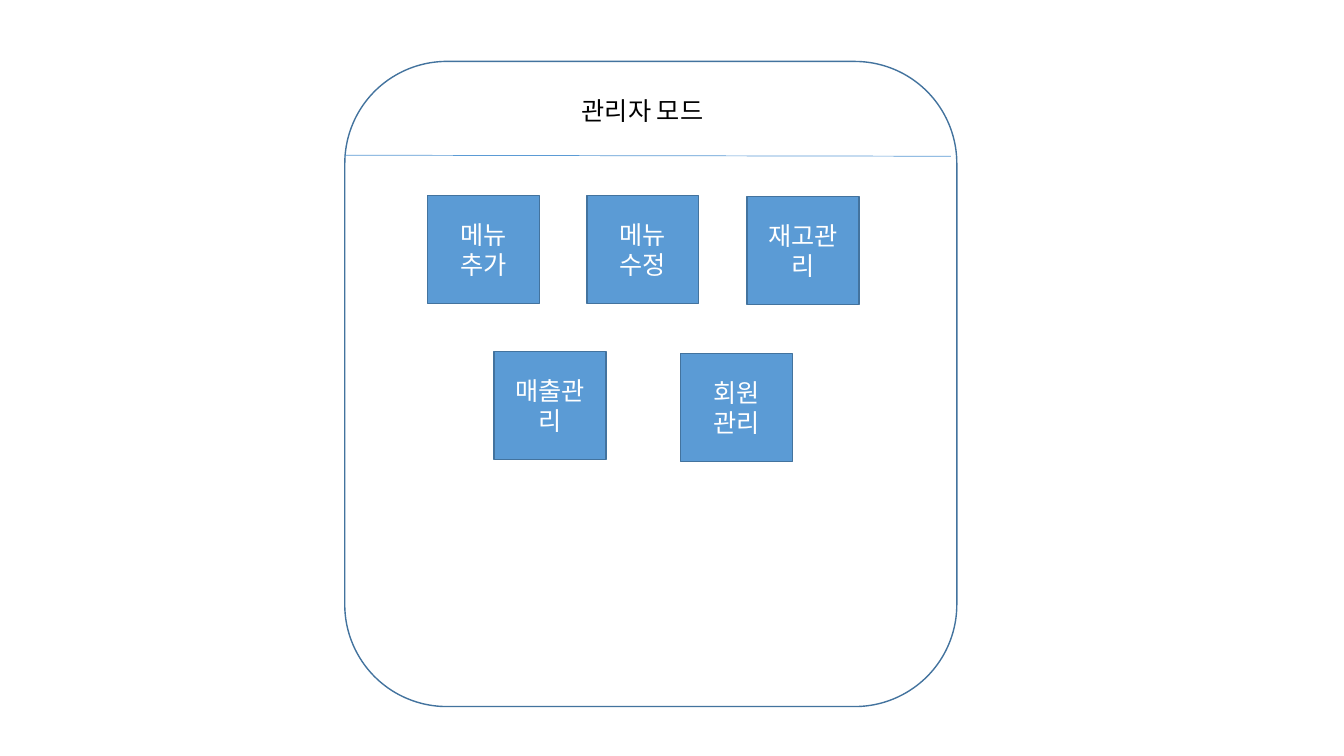
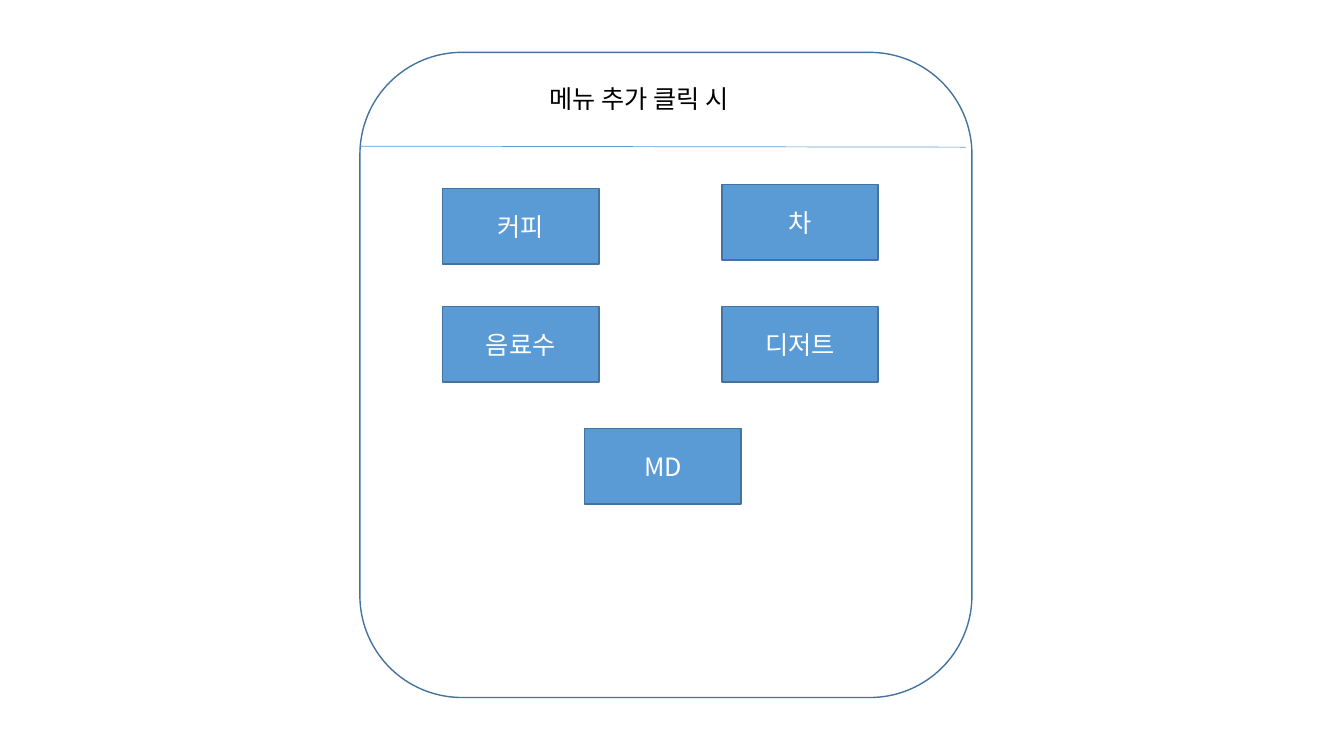
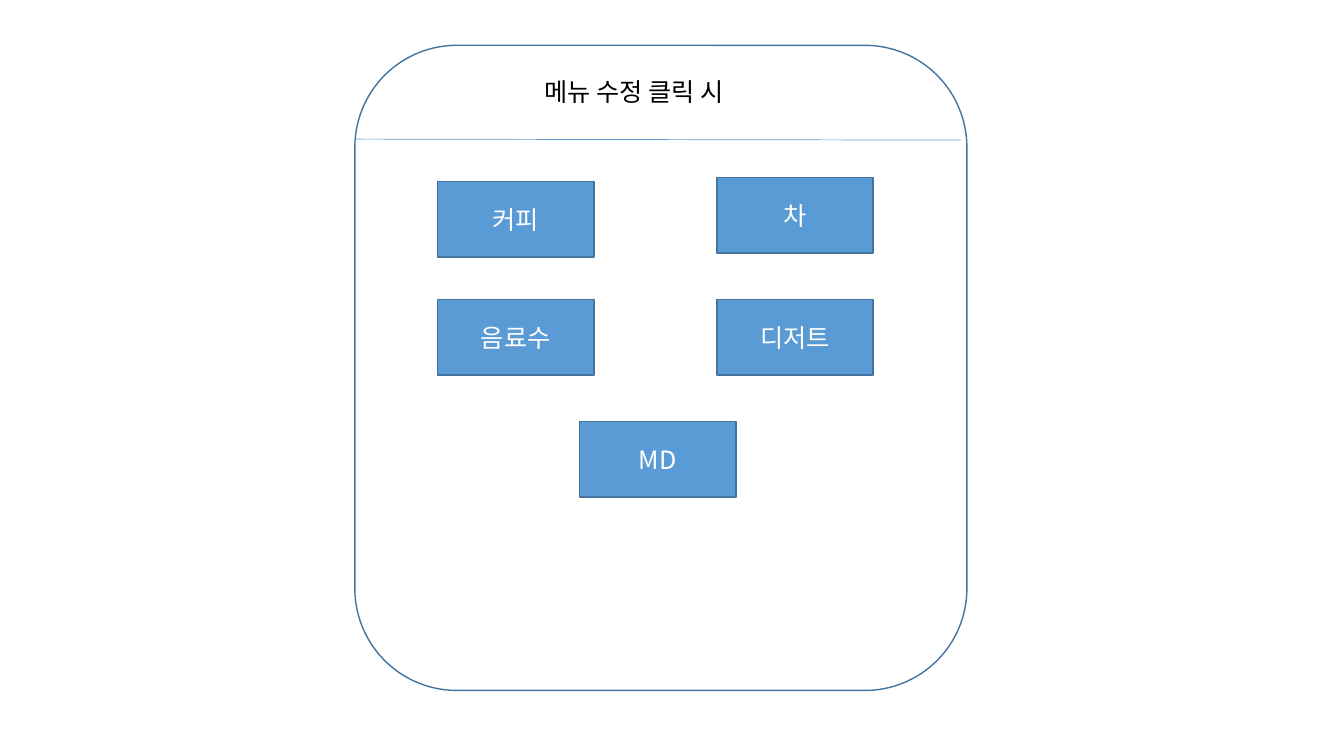
import dataclasses

import lxml.etree
import pptx
import pptx.dml.color
import pptx.enum.shapes
import pptx.enum.text
import pptx.oxml.ns
import pptx.util

Inches = pptx.util.Inches
SHAPE = pptx.enum.shapes.MSO_SHAPE
ALIGN = pptx.enum.text.PP_ALIGN
ANCHOR = pptx.enum.text.MSO_ANCHOR


@dataclasses.dataclass(frozen=True)
class Theme:
    font: str = "Noto Sans CJK KR"
    size: float = 18
    paper: str = "FFFFFF"
    ink: str = "000000"
    tile: str = "5B9BD5"
    edge: str = "43739E"
    border: float = 1
    rule: float = 0.5


THEME = Theme()
PANEL = (6.07, 6.4)
SQUARE = (1.11, 1.07)
BUTTON = (1.55, 0.75)

ADMIN = [
    ("메뉴 추가", 0.82, 1.33),
    ("메뉴 수정", 2.4, 1.33),
    ("재고관리", 3.99, 1.34),
    ("매출관리", 1.48, 2.88),
    ("회원 관리", 3.33, 2.9),
]
GOODS = [
    ("커피", 0.82, 1.35),
    ("음료수", 0.82, 2.52),
    ("차", 3.59, 1.31),
    ("디저트", 3.59, 2.52),
    ("MD", 2.23, 3.73),
]


def tint(code):
    return pptx.dml.color.RGBColor.from_string(code)


def write(frame, text, color, align):
    line = frame.paragraphs[0]
    line.alignment = align
    run = line.add_run()
    run.text = text
    run.font.size = pptx.util.Pt(THEME.size)
    run.font.color.rgb = tint(color)
    run.font.name = THEME.font
    props = run._r.get_or_add_rPr()
    east = lxml.etree.SubElement(props, pptx.oxml.ns.qn("a:ea"))
    east.set("typeface", THEME.font)


def add_box(slide, kind, left, top, size, fill):
    box = slide.shapes.add_shape(kind, *map(Inches, (left, top, *size)))
    box.shadow.inherit = False
    box.fill.solid()
    box.fill.fore_color.rgb = tint(fill)
    box.line.color.rgb = tint(THEME.edge)
    box.line.width = pptx.util.Pt(THEME.border)
    return box


def add_rule(slide, left, top):
    ends = map(Inches, (left, top, left + 6.01, top + 0.01))
    rule = slide.shapes.add_connector(
        pptx.enum.shapes.MSO_CONNECTOR.STRAIGHT, *ends)
    rule.line.color.rgb = tint(THEME.tile)
    rule.line.width = pptx.util.Pt(THEME.rule)
    lxml.etree.SubElement(
        rule.element.spPr, pptx.oxml.ns.qn("a:effectLst"))


def set_title(slide, text, left, top, width):
    title = slide.shapes.title
    title.left, title.top = Inches(left), Inches(top)
    title.width, title.height = Inches(width), Inches(0.4)
    frame = title.text_frame
    frame.word_wrap = True
    frame.auto_size = pptx.enum.text.MSO_AUTO_SIZE.SHAPE_TO_FIT_TEXT
    frame.vertical_anchor = ANCHOR.TOP
    write(frame, text, THEME.ink, ALIGN.LEFT)
    title.element.getparent().append(title.element)


def add_tile(slide, text, left, top, size):
    tile = add_box(slide, SHAPE.RECTANGLE, left, top, size, THEME.tile)
    tile.text_frame.word_wrap = True
    tile.text_frame.vertical_anchor = ANCHOR.MIDDLE
    write(tile.text_frame, text, THEME.paper, ALIGN.CENTER)


def add_screen(deck, left, top, head, tiles, size):
    slide = deck.slides.add_slide(deck.slide_layouts[5])
    add_box(slide, SHAPE.ROUNDED_RECTANGLE, left, top, PANEL, THEME.paper)
    add_rule(slide, left, top + 0.93)
    text, across, down, width = head
    set_title(slide, text, left + across, top + down, width)
    for text, across, down in tiles:
        add_tile(slide, text, left + across, top + down, size)


def main():
    deck = pptx.Presentation()
    deck.slide_width, deck.slide_height = Inches(13.33), Inches(7.5)
    add_screen(deck, 3.42, 0.61, ("관리자 모드", 2.25, 0.29, 1.63),
               ADMIN, SQUARE)
    add_screen(deck, 3.57, 0.52, ("메뉴 추가 클릭 시", 1.78, 0.26, 2.52),
               GOODS, BUTTON)
    add_screen(deck, 3.52, 0.45, ("메뉴 수정 클릭 시", 1.78, 0.26, 2.52),
               GOODS, BUTTON)
    deck.save("out.pptx")


if __name__ == "__main__":
    main()
